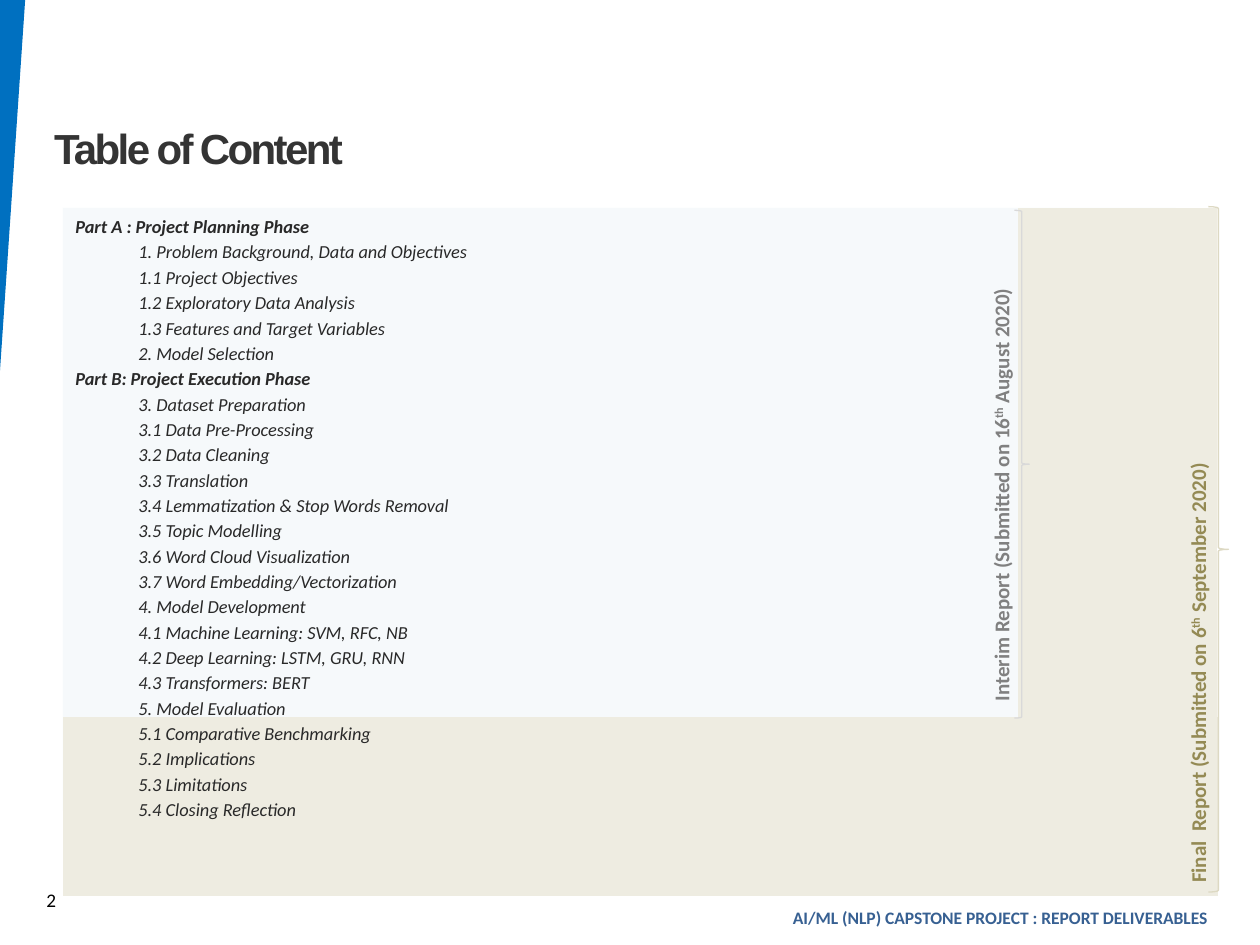
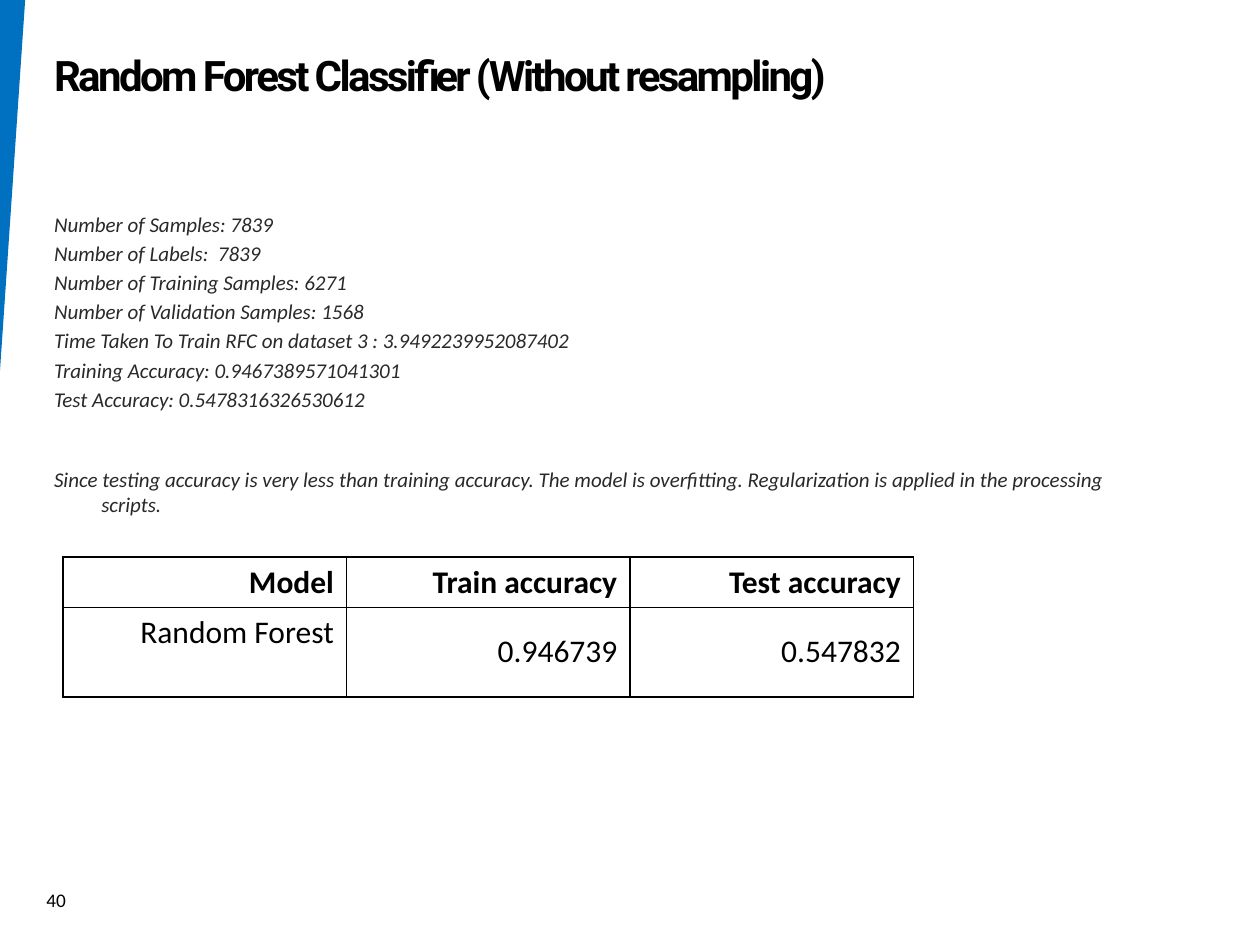
from dataclasses import dataclass, replace

from lxml import etree
from pptx import Presentation
from pptx.dml.color import RGBColor
from pptx.enum.shapes import MSO_SHAPE
from pptx.enum.text import MSO_ANCHOR, PP_ALIGN
from pptx.oxml.ns import qn
from pptx.util import Pt

PANEL, BRACE = MSO_SHAPE.FLOWCHART_PREDEFINED_PROCESS, MSO_SHAPE.RIGHT_BRACE
TOP, MIDDLE, BOTTOM = MSO_ANCHOR.TOP, MSO_ANCHOR.MIDDLE, MSO_ANCHOR.BOTTOM
LEFT, RIGHT, JUSTIFY = PP_ALIGN.LEFT, PP_ALIGN.RIGHT, PP_ALIGN.JUSTIFY

BLACK, INK, CHARCOAL = "000000", "292929", "343434"
BLUE, NAVY, ICE = "0070C0", "376092", "DCE6F2"
SAND, OLIVE, GREY = "EEECE1", "948A54", "808080"
TAN, SILVER = "DDD9C3", "D9D9D9"


@dataclass(frozen=True)
class Box:
    left: float
    top: float
    width: float
    height: float

    def pts(self) -> list:
        return [Pt(v) for v in (self.left, self.top, self.width, self.height)]


@dataclass(frozen=True)
class Style:
    size: float
    color: str = BLACK
    bold: bool = False
    italic: bool = False
    face: str = "Calibri"
    align: PP_ALIGN = LEFT


@dataclass(frozen=True)
class Line:
    text: str
    style: Style
    before: float = 0
    margin: float = 0
    indent: float = 0


@dataclass(frozen=True)
class Label:
    """A date label that reads upwards, with a raised ordinal ending."""
    box: Box
    texts: tuple
    color: str


@dataclass(frozen=True)
class Figure:
    kind: MSO_SHAPE
    box: Box
    color: str
    alpha: int = 100


TOC = Style(10.5, INK, italic=True, align=JUSTIFY)
BODY = Style(12, INK, italic=True)
CELL = Style(18, align=RIGHT)
PHASES = {
    "Part A : Project Planning Phase": (
        "1. Problem Background, Data and Objectives",
        "1.1 Project Objectives",
        "1.2 Exploratory Data Analysis",
        "1.3 Features and Target Variables",
        "2. Model Selection",
    ),
    "Part B: Project Execution Phase": (
        "3. Dataset Preparation",
        "3.1 Data Pre-Processing",
        "3.2 Data Cleaning",
        "3.3 Translation",
        "3.4 Lemmatization & Stop Words Removal",
        "3.5 Topic Modelling",
        "3.6 Word Cloud Visualization",
        "3.7 Word Embedding/Vectorization",
        "4. Model Development",
        "4.1 Machine Learning: SVM, RFC, NB",
        "4.2 Deep Learning: LSTM, GRU, RNN",
        "4.3 Transformers: BERT",
        "5. Model Evaluation",
        "5.1 Comparative Benchmarking",
        "5.2 Implications",
        "5.3 Limitations",
        "5.4 Closing Reflection",
    ),
}
PANELS = (
    Figure(PANEL, Box(36, 118.8, 635.8, 344.2), ICE, 24),
    Figure(PANEL, Box(581.8, 118.8, 113.8, 393.1), SAND),
    Figure(PANEL, Box(36, 409.7, 660.2, 102.2), SAND),
)
BRACES = (
    Figure(BRACE, Box(690.5, 118.1, 11.5, 391.7), TAN),
    Figure(BRACE, Box(579.6, 120.2, 8.6, 290.2), SILVER),
)
LABELS = (
    Label(Box(427, 252, 290.2, 21.6),
          ("Interim Report (Submitted on 16", "th", " August 2020)"), GREY),
    Label(Box(488.2, 303.1, 392.4, 24.5),
          ("Final  Report (Submitted on 6", "th", " September 2020)"), OLIVE),
)
FACTS = (
    "Number of Samples: 7839",
    "Number of Labels:  7839",
    "Number of Training Samples: 6271",
    "Number of Validation Samples: 1568",
    "Time Taken To Train RFC on dataset 3 : 3.9492239952087402",
    "Training Accuracy: 0.9467389571041301",
    "Test Accuracy: 0.5478316326530612",
)
VERDICT = ("Since testing accuracy is very less than training accuracy. The model is "
           "overfitting. Regularization is applied in the processing scripts.")
SCORES = (
    ("Model", "Train accuracy", "Test accuracy"),
    ("Random Forest", "0.946739", "0.547832"),
)


def rgb(code: str) -> RGBColor:
    return RGBColor.from_string(code)


def dress(para, style: Style) -> None:
    para.alignment = style.align
    font = para.font
    font.name, font.size = style.face, Pt(style.size)
    font.bold, font.italic = style.bold, style.italic
    font.color.rgb = rgb(style.color)


def write(slide, box: Box, lines: list[Line], anchor=TOP):
    shape = slide.shapes.add_textbox(*box.pts())
    frame = shape.text_frame
    frame.word_wrap, frame.vertical_anchor = True, anchor
    for i, line in enumerate(lines):
        para = frame.add_paragraph() if i else frame.paragraphs[0]
        if line.text:
            para.add_run().text = line.text
        dress(para, line.style)
        para.space_before = Pt(line.before)
        props = para._p.get_or_add_pPr()
        props.set("marL", str(Pt(line.margin)))
        props.set("indent", str(Pt(line.indent)))
    return shape


def title(slide, text: str, style: Style, width: float, gap: float) -> None:
    """Seat the title on the bottom of its box, raised by gap."""
    shape = write(slide, Box(23.8, 12.2, width, 90), [Line(text, style)], BOTTOM)
    shape.text_frame.margin_bottom = Pt(gap)
    para = shape.text_frame.paragraphs[0]
    para.line_spacing = Pt(36)
    para.runs[0]._r.get_or_add_rPr().set("spc", "-150")


def draw(slide, item: Figure) -> None:
    shape = slide.shapes.add_shape(item.kind, *item.box.pts())
    shape.shadow.inherit = False
    if item.kind == BRACE:
        shape.fill.background()
        shape.line.color.rgb = rgb(item.color)
        shape.line.width = Pt(0.75)
        return
    shape.line.fill.background()
    shape.fill.solid()
    shape.fill.fore_color.rgb = rgb(item.color)
    if item.alpha < 100:
        tint = next(shape._element.spPr.iter(qn("a:srgbClr")))
        etree.SubElement(tint, qn("a:alpha"), val=str(item.alpha * 1000))


def mark(slide, label: Label) -> None:
    style = Style(12, label.color, bold=True)
    shape = write(slide, label.box, [Line("", style)], MIDDLE)
    shape.rotation = 270
    para = shape.text_frame.paragraphs[0]
    for text in label.texts:
        run = para.add_run()
        run.text = text
        if text == "th":
            run._r.get_or_add_rPr().set("baseline", "30000")


def start(deck, number: int):
    """Add a blank slide with the page number and the edge wedge."""
    slide = deck.slides.add_slide(deck.slide_layouts[6])
    write(slide, Box(19.4, 504, 52.6, 25.2), [Line(str(number), Style(11))])
    pen = slide.shapes.build_freeform(0, 0)
    pen.add_line_segments([(Pt(14.4), 0), (0, Pt(212))], close=True)
    wedge = pen.convert_to_shape()
    wedge.shadow.inherit = False
    wedge.fill.solid()
    wedge.fill.fore_color.rgb = rgb(BLUE)
    wedge.line.fill.background()
    return slide


def edge(cell) -> None:
    """Give a cell thin black borders, kept ahead of its fill."""
    props = cell._tc.get_or_add_tcPr()
    for i, side in enumerate(("lnL", "lnR", "lnT", "lnB")):
        line = etree.Element(qn(f"a:{side}"), w=str(Pt(1)))
        fill = etree.SubElement(line, qn("a:solidFill"))
        etree.SubElement(fill, qn("a:srgbClr"), val=BLACK)
        props.insert(i, line)


def grid(slide) -> None:
    box = Box(36, 318.2, 486, 80)
    table = slide.shapes.add_table(2, 3, *box.pts()).table
    table.first_row = table.horz_banding = False
    for row, high in zip(table.rows, (28.8, 51.2)):
        row.height = Pt(high)
    for r, row in enumerate(SCORES):
        for c, text in enumerate(row):
            cell = table.cell(r, c)
            cell.text = text
            cell.vertical_anchor = TOP if (r, c) == (1, 0) else MIDDLE
            cell.fill.background()
            dress(cell.text_frame.paragraphs[0], replace(CELL, bold=r == 0))
            edge(cell)


def contents(deck) -> None:
    slide = start(deck, 2)
    for panel in PANELS:
        draw(slide, panel)
    lines = []
    for phase, items in PHASES.items():
        lines.append(Line(phase, replace(TOC, bold=True), 1.9))
        lines += [Line(item, TOC, 1.9, 36) for item in items]
    write(slide, Box(36, 119.5, 462.2, 342.7), lines)
    head = Style(24, CHARCOAL, bold=True, face="Arial", align=JUSTIFY)
    title(slide, "Table of Content", head, 648, 3.6)
    for label in LABELS:
        mark(slide, label)
    foot = Style(10, NAVY, bold=True, align=RIGHT)
    write(slide, Box(341.3, 514.8, 355.7, 19.4),
          [Line("AI/ML (NLP) CAPSTONE PROJECT : REPORT DELIVERABLES", foot)])
    for brace in BRACES:
        draw(slide, brace)


def results(deck) -> None:
    slide = start(deck, 40)
    lines = [Line(fact, BODY, 2.2, 27, -27) for fact in FACTS]
    lines.append(Line(VERDICT, BODY, 31.6, 27, -27))
    write(slide, Box(23.8, 117.4, 648, 356.4), lines)
    head = Style(24, bold=True, face="Roboto")
    title(slide, "Random Forest Classifier (Without resampling)", head, 498.2, 45)
    grid(slide)


def main() -> None:
    deck = Presentation()
    deck.slide_width, deck.slide_height = Pt(720), Pt(540)
    contents(deck)
    results(deck)
    deck.save("out.pptx")


if __name__ == "__main__":
    main()
